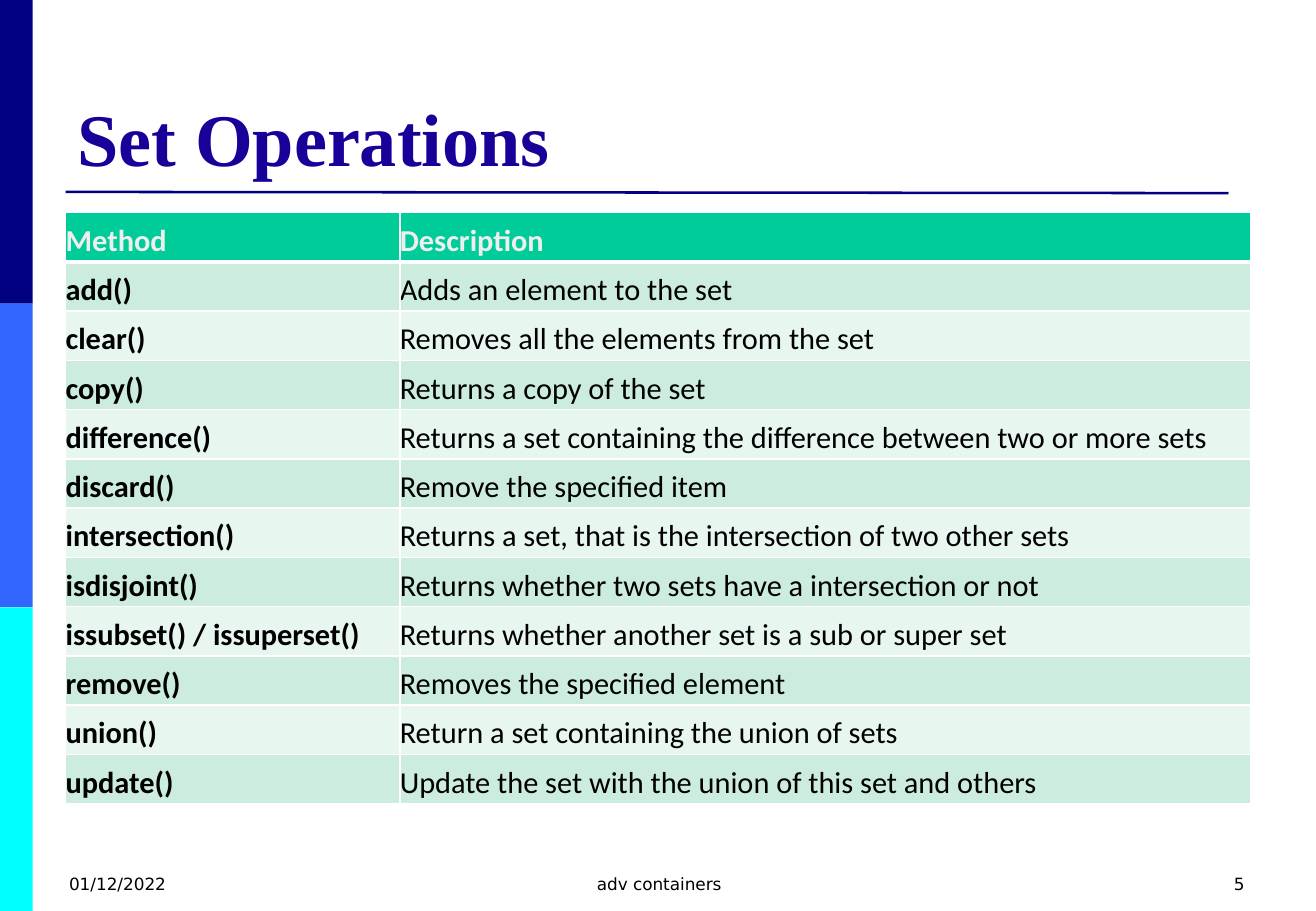
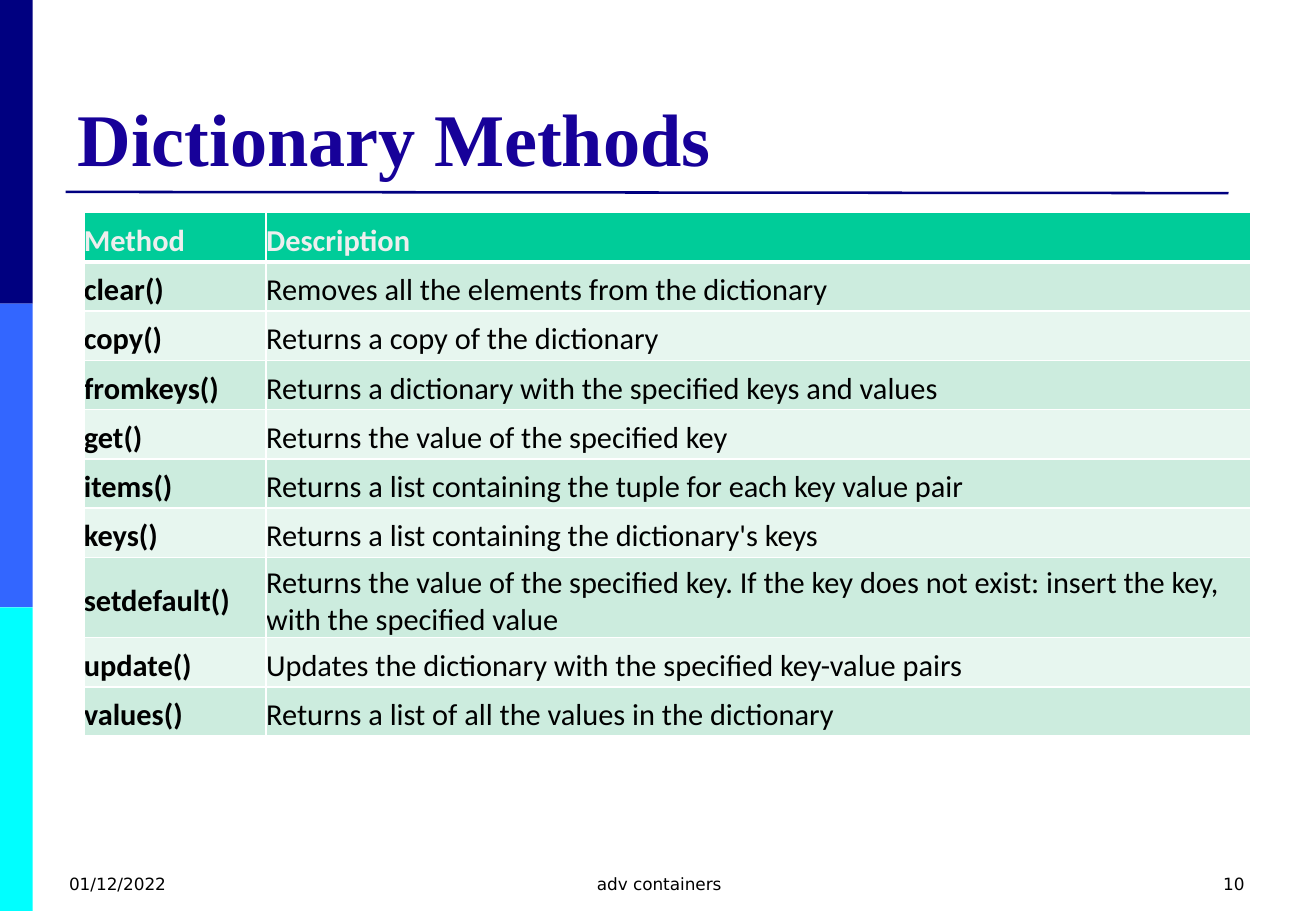
from lxml import etree
from pptx import Presentation
from pptx import util as u
from pptx.dml.color import RGBColor
from pptx.enum import shapes, text
from pptx.oxml.ns import qn

COLORS = {
    "navy": "000080", "blue": "3366FF", "cyan": "00FFFF", "title": "170199",
    "header": "00CC99", "odd": "CCECDE", "even": "E7F6EF",
    "header_text": "EEEEEE", "black": "000000", "white": "FFFFFF",
}
BANDS = ["navy", "blue", "cyan"]
ALIGN = text.PP_ALIGN
TABLE_TOP = 1.75
ROW_H = 4.87 / 12

# Title, page number, table left, column widths, rows
SLIDES = [
    ("Set Operations", "5", 0.54, [2.75, 7], [
        ("Method", "Description"),
        ("add()", "Adds an element to the set"),
        ("clear()", "Removes all the elements from the set"),
        ("copy()", "Returns a copy of the set"),
        ("difference()", "Returns a set containing the difference between two or more sets"),
        ("discard()", "Remove the specified item"),
        ("intersection()", "Returns a set, that is the intersection of two other sets"),
        ("isdisjoint()", "Returns whether two sets have a intersection or not"),
        ("issubset() / issuperset()", "Returns whether another set is a sub or super set"),
        ("remove()", "Removes the specified element"),
        ("union()", "Return a set containing the union of sets"),
        ("update()", "Update the set with the union of this set and others"),
    ]),
    ("Dictionary Methods", "10", 0.69, [1.5, 8.1], [
        ("Method", "Description"),
        ("clear()", "Removes all the elements from the dictionary"),
        ("copy()", "Returns a copy of the dictionary"),
        ("fromkeys()", "Returns a dictionary with the specified keys and values"),
        ("get()", "Returns the value of the specified key"),
        ("items()", "Returns a list containing the tuple for each key value pair"),
        ("keys()", "Returns a list containing the dictionary's keys"),
        ("setdefault()", "Returns the value of the specified key. If the key does not "
                         "exist: insert the key, with the specified value"),
        ("update()", "Updates the dictionary with the specified key-value pairs"),
        ("values()", "Returns a list of all the values in the dictionary"),
    ]),
]


def add_run(tf, words, font, size, color, bold=False, align=ALIGN.LEFT):
    p = tf.paragraphs[0]
    p.alignment = align
    r = p.add_run()
    r.text = words
    r.font.name, r.font.size, r.font.bold = font, u.Pt(size), bold
    r.font.color.rgb = RGBColor.from_string(COLORS[color])


def add_border(cell, side, width):
    ln = etree.SubElement(cell._tc.get_or_add_tcPr(), qn("a:ln" + side), w=str(u.Pt(width)))
    fill = etree.SubElement(ln, qn("a:solidFill"))
    etree.SubElement(fill, qn("a:srgbClr"), val=COLORS["white"])


prs = Presentation()
prs.slide_width, prs.slide_height = u.Inches(10.83), u.Inches(7.5)

for title, number, left, widths, rows in SLIDES:
    s = prs.slides.add_slide(prs.slide_layouts[6])

    # Side bands
    for i, name in enumerate(BANDS):
        sp = s.shapes.add_shape(shapes.MSO_SHAPE.RECTANGLE, 0, u.Inches(2.5 * i),
                                u.Inches(0.27), u.Inches(2.5))
        sp.shadow.inherit = False
        sp.fill.solid()
        sp.fill.fore_color.rgb = RGBColor.from_string(COLORS[name])
        sp.line.fill.background()

    # Rule under the title
    rule = s.shapes.add_connector(shapes.MSO_CONNECTOR.STRAIGHT, u.Inches(0.54),
                                  u.Inches(1.58), u.Inches(10.11), u.Inches(1.59))
    rule.line.color.rgb = RGBColor.from_string(COLORS["navy"])
    rule.line.width = u.Pt(1.5)
    etree.SubElement(rule._element.spPr, qn("a:effectLst"))

    # Title
    tf = s.shapes.add_textbox(u.Inches(0.54), u.Inches(0.3),
                              u.Inches(9.75), u.Inches(1.24)).text_frame
    tf.word_wrap = True
    tf.vertical_anchor = text.MSO_ANCHOR.BOTTOM
    add_run(tf, title, "Times New Roman", 44, "title", bold=True)

    # Table
    table = s.shapes.add_table(len(rows), len(widths), u.Inches(left), u.Inches(TABLE_TOP),
                               u.Inches(sum(widths)), u.Inches(ROW_H * len(rows))).table
    table.horz_banding = False
    for column, width in zip(table.columns, widths):
        column.width = u.Inches(width)
    for i, row in enumerate(rows):
        table.rows[i].height = u.Inches(ROW_H)
        fill = "header" if i == 0 else "odd" if i % 2 else "even"
        for j, words in enumerate(row):
            cell = table.cell(i, j)
            cell.margin_left = cell.margin_bottom = 0
            cell.margin_top = cell.margin_right = u.Inches(0.06)
            cell.vertical_anchor = text.MSO_ANCHOR.MIDDLE
            for side in "LRTB":
                add_border(cell, side, 3 if i == 0 and side == "B" else 1)
            cell.fill.solid()
            cell.fill.fore_color.rgb = RGBColor.from_string(COLORS[fill])
            add_run(cell.text_frame, words, "Calibri", 18,
                    "header_text" if i == 0 else "black", bold=i == 0 or j == 0)

    # Footer
    for x, width, words, align in [(0.47, 2.53, "01/12/2022", ALIGN.LEFT),
                                   (3.71, 3.43, "adv containers", ALIGN.CENTER),
                                   (7.81, 2.53, number, ALIGN.RIGHT)]:
        tf = s.shapes.add_textbox(u.Inches(x), u.Inches(7.14),
                                  u.Inches(width), u.Inches(0.36)).text_frame
        tf.word_wrap = True
        add_run(tf, words, "DejaVu Sans", 10, "black", align=align)

prs.save("out.pptx")
